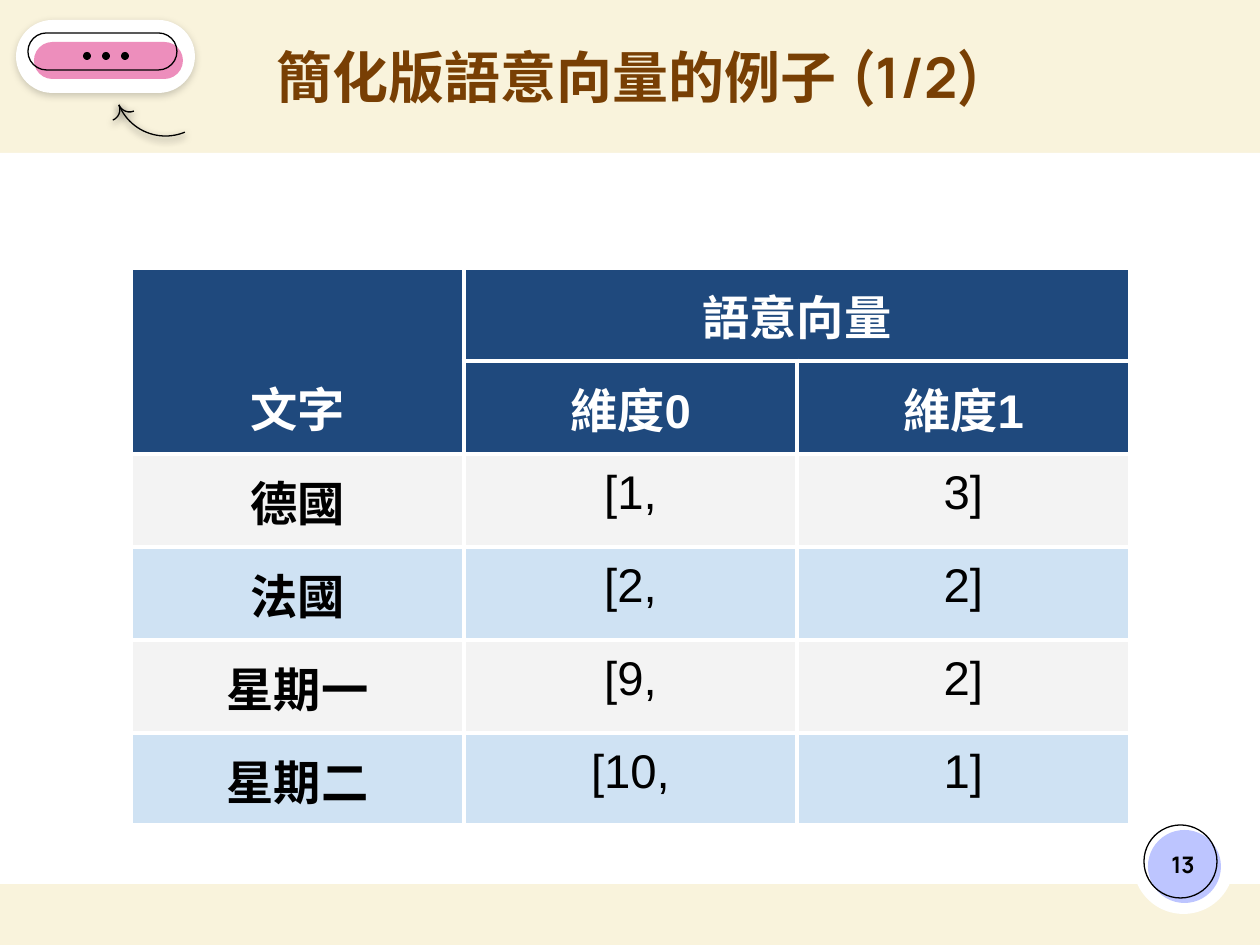
from lxml import etree
from pptx import Presentation
from pptx.dml.color import RGBColor
from pptx.enum.shapes import MSO_SHAPE
from pptx.enum.text import MSO_ANCHOR, MSO_AUTO_SIZE, PP_ALIGN
from pptx.oxml import parse_xml
from pptx.oxml.ns import nsdecls, qn
from pptx.util import Pt

EMU_PER_PX = 914400 / 126
CREAM = RGBColor(0xF9, 0xF3, 0xDC)
WHITE = RGBColor(0xFF, 0xFF, 0xFF)
BLACK = RGBColor(0x00, 0x00, 0x00)
LAVENDER = RGBColor(0xBD, 0xC5, 0xFF)
PINK = RGBColor(0xED, 0x8E, 0xBC)
BROWN = RGBColor(0x78, 0x3F, 0x04)
NAVY = RGBColor(0x1F, 0x49, 0x7D)
GREY = RGBColor(0xF3, 0xF3, 0xF3)
LIGHT_BLUE = RGBColor(0xCF, 0xE2, 0xF3)

HEADER = [["文字", "語意向量", ""], ["", "維度0", "維度1"]]
VECTORS = [
    ["德國", "[1,", "3]"],
    ["法國", "[2,", "2]"],
    ["星期一", "[9,", "2]"],
    ["星期二", "[10,", "1]"],
]


def px(length):
    return round(length * EMU_PER_PX)


def add_shadow(shape, opacity):
    """Replace the theme shadow with a soft one falling straight down."""
    shape.shadow.inherit = False
    effects = shape._element.spPr.find(qn("a:effectLst"))
    effects.append(parse_xml(
        f'<a:outerShdw {nsdecls("a")} blurRad="57150" dist="19050" dir="5400000" '
        f'algn="bl" rotWithShape="0"><a:srgbClr val="000000">'
        f'<a:alpha val="{opacity * 1000}"/></a:srgbClr></a:outerShdw>'))


def add_preset(shapes, preset, left, top, width, height, fill=None, shadow=None):
    """Add a filled shape without outline, or a thin black outline if fill is None."""
    shape = shapes.add_shape(preset, px(left), px(top), px(width), px(height))
    if fill is None:
        shape.fill.background()
        shape.line.color.rgb = BLACK
        shape.line.width = Pt(0.75)
    else:
        shape.fill.solid()
        shape.fill.fore_color.rgb = fill
        shape.line.fill.background()
    if shadow is None:
        shape.shadow.inherit = False
    else:
        add_shadow(shape, shadow)
    return shape


def set_text(frame, text, size, color, font_name):
    frame.text = text
    paragraph = frame.paragraphs[0]
    paragraph.alignment = PP_ALIGN.CENTER
    font = paragraph.font
    font.name, font.size, font.bold = font_name, Pt(size), True
    font.color.rgb = color


def add_title(slide, left, top, width, height):
    title = slide.shapes.title
    title.left, title.top, title.width, title.height = map(px, (left, top, width, height))
    frame = title.text_frame
    frame.auto_size = MSO_AUTO_SIZE.NONE
    frame.word_wrap = True
    frame.vertical_anchor = MSO_ANCHOR.MIDDLE
    frame.margin_left = frame.margin_right = frame.margin_bottom = px(12)
    frame.margin_top = 0
    set_text(frame, "簡化版語意向量的例子 (1/2)", 32, BROWN, "Manrope")


def add_page_badge(slide, left, top):
    for offset_x, offset_y, diameter, fill in [
            (0, 0, 101, WHITE), (15, 17, 73, LAVENDER), (11, 12, 73, None)]:
        add_preset(slide.shapes, MSO_SHAPE.OVAL, left + offset_x, top + offset_y,
                   diameter, diameter, fill)
    number = slide.shapes.add_textbox(px(left + 12), px(top + 15), px(76), px(72))
    frame = number.text_frame
    frame.word_wrap = True
    frame.vertical_anchor = MSO_ANCHOR.MIDDLE
    set_text(frame, "13", 13, BLACK, "Manrope")


def add_speech_pill(slide, left, top):
    shapes = slide.shapes.add_group_shape().shapes
    for offset_x, offset_y, width, height, fill, shadow in [
            (0, 0, 179, 73, WHITE, 19),
            (18, 22, 149, 37, PINK, None),
            (12, 13, 149, 37, None, None)]:
        pill = add_preset(shapes, MSO_SHAPE.ROUNDED_RECTANGLE, left + offset_x,
                          top + offset_y, width, height, fill, shadow)
        pill.adjustments[0] = 0.5
    for index in range(3):
        add_preset(shapes, MSO_SHAPE.OVAL, left + 67 + 19 * index, top + 32, 8, 8, BLACK)


def add_curved_arrow(slide, left, top):
    """Draw a quarter-circle shaft and the two curved barbs of its head."""
    shapes = slide.shapes.add_group_shape().shapes
    for offset_x, offset_y, diameter, flipped in [
            (18, 0, 101, False), (21, 54, 23, False), (0, 63, 23, True)]:
        arc = add_preset(shapes, MSO_SHAPE.ARC, left + offset_x, top + offset_y,
                         diameter, diameter, shadow=68)
        arc.rotation = 157.5
        if flipped:
            arc._element.spPr.xfrm.set("flipH", "1")


def add_cell_borders(cell):
    properties = cell._tc.get_or_add_tcPr()
    for side in ("lnL", "lnR", "lnT", "lnB"):
        line = etree.SubElement(properties, qn(f"a:{side}"), w=str(Pt(3)))
        fill = etree.SubElement(line, qn("a:solidFill"))
        etree.SubElement(fill, qn("a:srgbClr"), val=str(WHITE))


def add_vector_table(slide, left, top, column_width, row_height):
    rows = HEADER + VECTORS
    table = slide.shapes.add_table(
        len(rows), 3, px(left), px(top),
        px(3 * column_width), px(len(rows) * row_height)).table
    for column in table.columns:
        column.width = px(column_width)
    for row_index, texts in enumerate(rows):
        table.rows[row_index].height = px(row_height)
        is_header = row_index < len(HEADER)
        for column_index, text in enumerate(texts):
            cell = table.cell(row_index, column_index)
            add_cell_borders(cell)
            cell.margin_left = cell.margin_right = px(13)
            cell.margin_top = cell.margin_bottom = px(13)
            cell.fill.solid()
            cell.fill.fore_color.rgb = (
                NAVY if is_header else (GREY, LIGHT_BLUE)[row_index % 2])
            set_text(cell.text_frame, text, 27, WHITE if is_header else BLACK, "Arial")
            cell.text_frame.paragraphs[0].font.bold = is_header or column_index == 0
    table.cell(0, 0).merge(table.cell(1, 0))
    table.cell(0, 0).vertical_anchor = MSO_ANCHOR.BOTTOM
    table.cell(0, 1).merge(table.cell(0, 2))


def main():
    presentation = Presentation()
    presentation.slide_width, presentation.slide_height = px(1260), px(945)
    slide = presentation.slides.add_slide(presentation.slide_layouts[5])
    slide.background.fill.solid()
    slide.background.fill.fore_color.rgb = CREAM

    add_preset(slide.shapes, MSO_SHAPE.RECTANGLE, 0, 153, 1260, 731, WHITE)
    add_page_badge(slide, 1133, 813)
    add_curved_arrow(slide, 97, 35)
    add_speech_pill(slide, 16, 20)
    add_title(slide, 195, 20, 870, 124)
    add_vector_table(slide, 131, 268, 333, 93)
    presentation.save("out.pptx")


if __name__ == "__main__":
    main()
